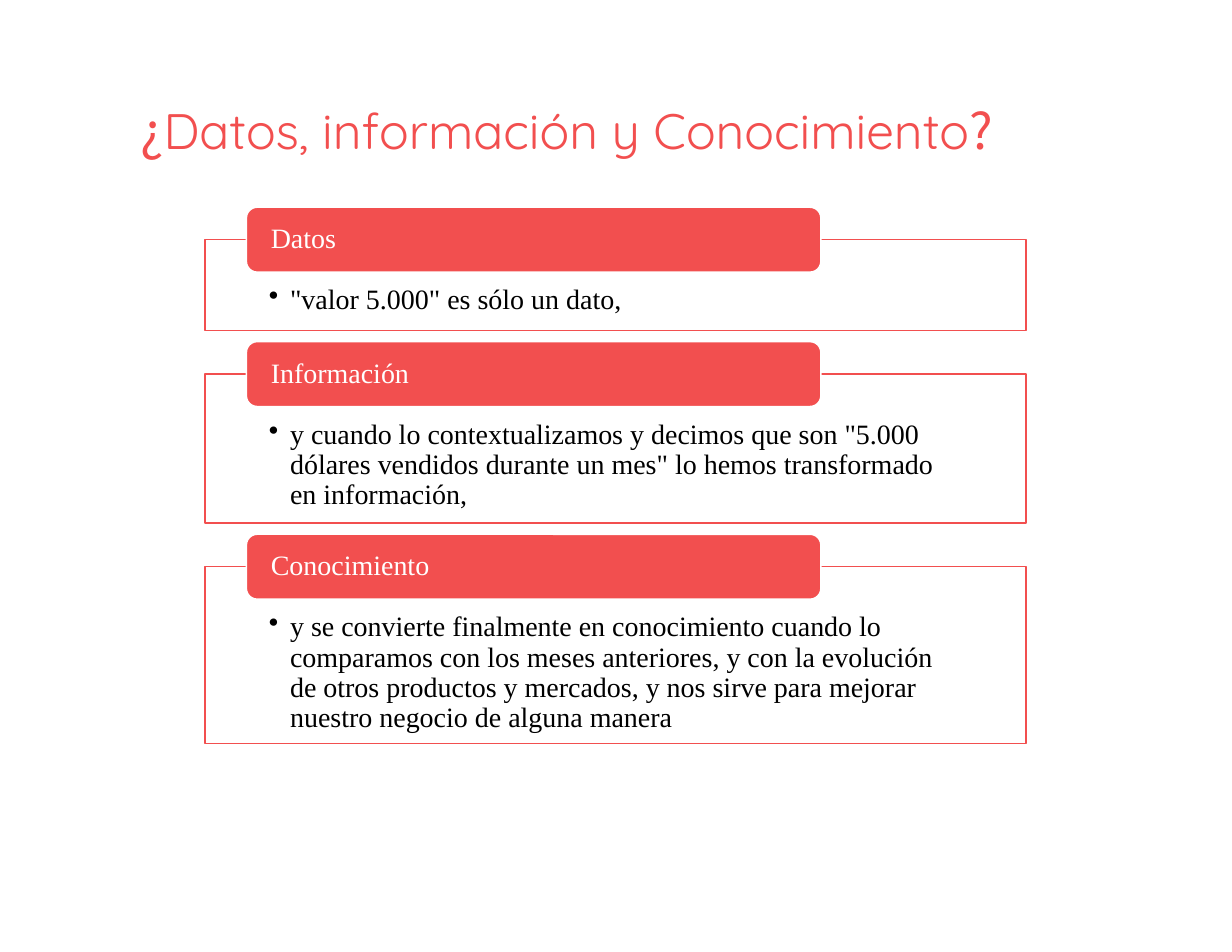
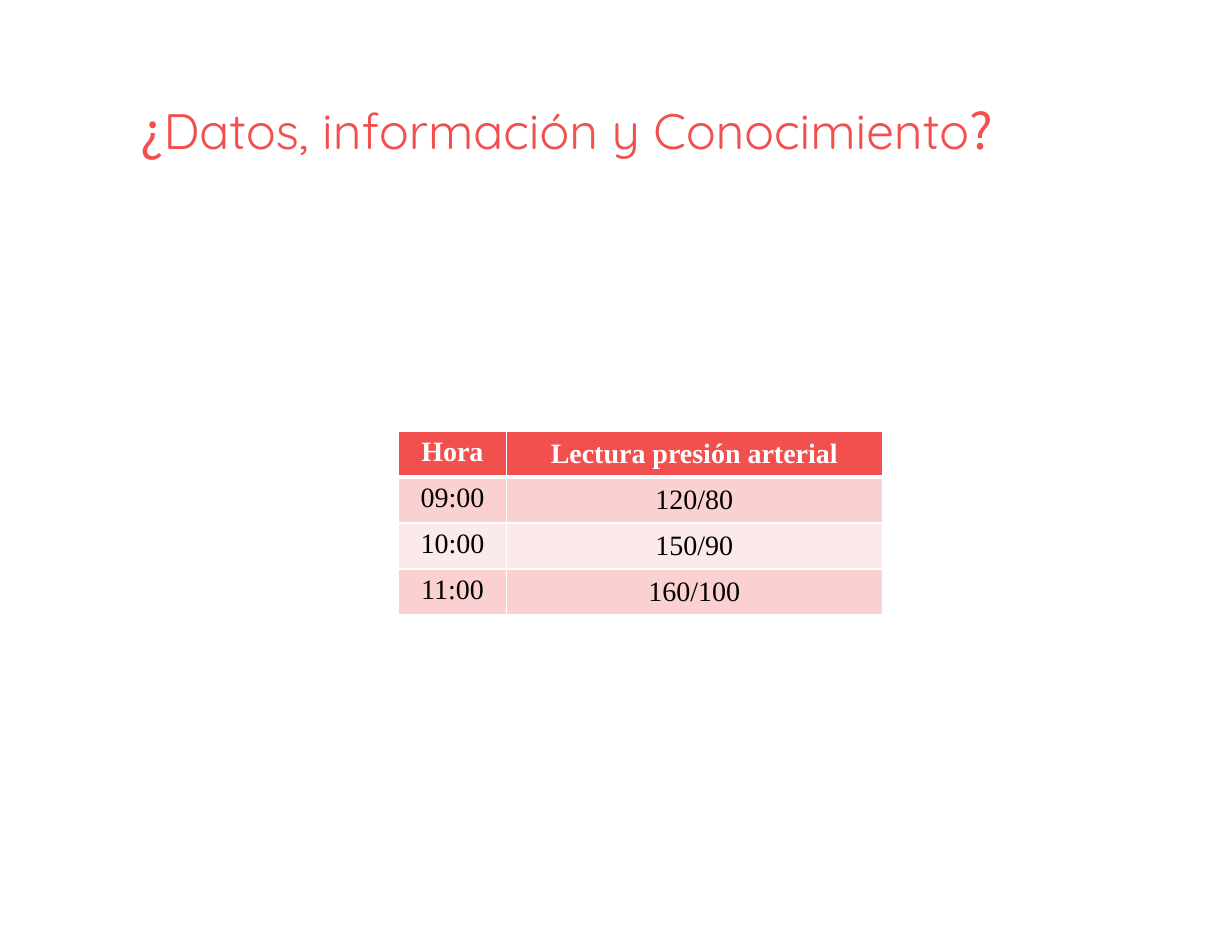
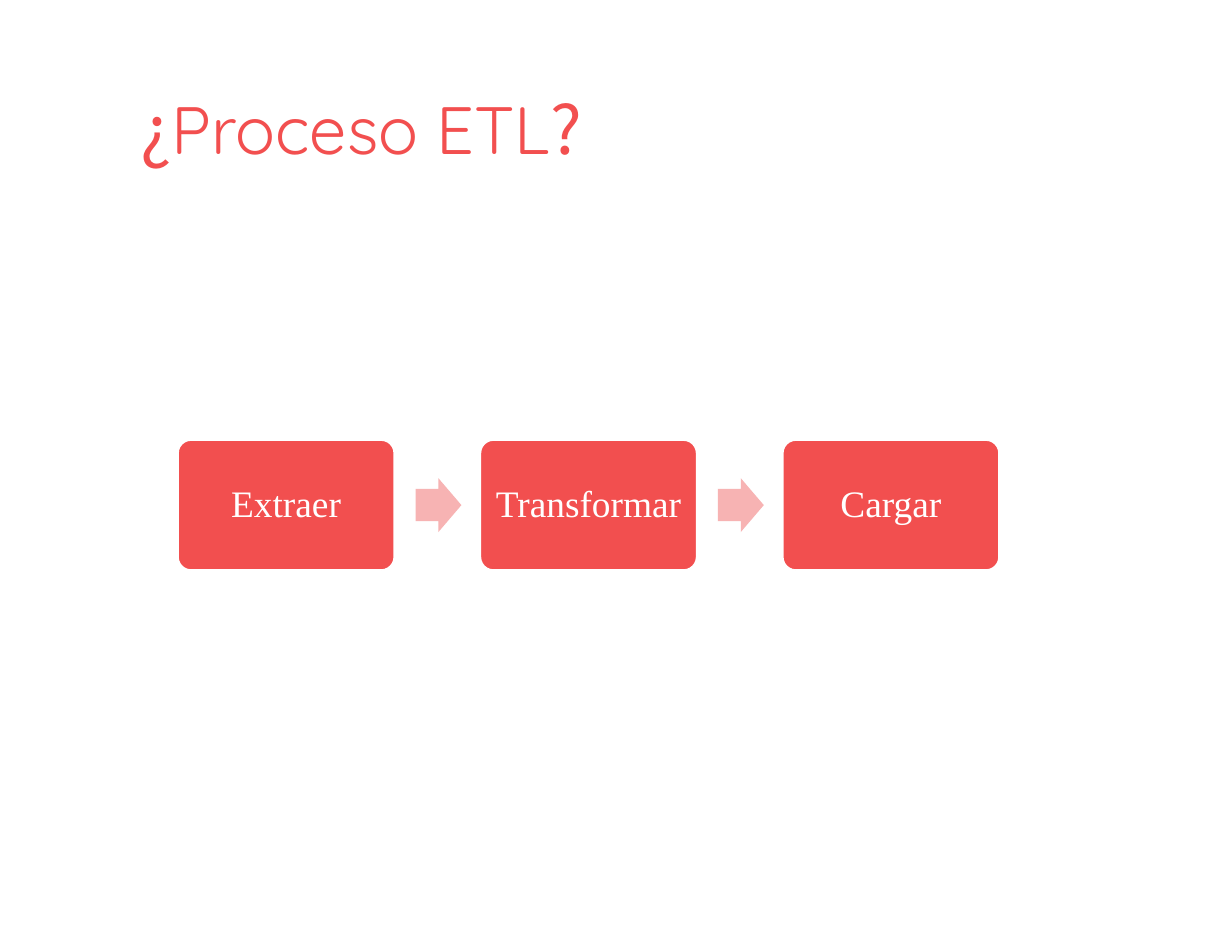
from pptx import Presentation
from pptx.dml.color import RGBColor
from pptx.enum.shapes import MSO_SHAPE
from pptx.enum.text import MSO_ANCHOR, MSO_AUTO_SIZE, PP_ALIGN
from pptx.oxml.ns import qn
from pptx.util import Inches, Pt
from lxml.etree import SubElement, Element

RED = RGBColor(0xF2, 0x4F, 0x4F)
PINK = RGBColor(0xF7, 0xB3, 0xB3)
ROSE = RGBColor(0xFA, 0xD0, 0xD0)
PALE = RGBColor(0xFC, 0xE9, 0xE9)
WHITE = RGBColor(0xFF, 0xFF, 0xFF)
BLACK = RGBColor(0, 0, 0)
SERIF = "Times New Roman"
SANS = "Quicksand"
MARK = "Noto Sans CJK SC"


class Deck:
    def __init__(self):
        self.prs = Presentation()
        self.prs.slide_width = Inches(11)
        self.prs.slide_height = Inches(8.5)
        self.slide = None

    def style(self, font, size, color, name=SERIF, bold=False):
        font.name = name
        font.size = Pt(size)
        font.bold = bold
        font.color.rgb = color

    def page(self, words, size):
        self.slide = self.prs.slides.add_slide(self.prs.slide_layouts[5])
        title = self.slide.shapes.title
        title.left, title.top = Inches(1.25), Inches(0.79)
        title.width, title.height = Inches(8.93), Inches(0.81)
        self.frame(title, (0, 0, 0, 0), MSO_ANCHOR.MIDDLE)
        para = title.text_frame.paragraphs[0]
        para.alignment = PP_ALIGN.LEFT
        para.line_spacing = 0.85
        for text, name in (("¿", MARK), (words, SANS), ("?", MARK)):
            run = para.add_run()
            run.text = text
            self.style(run.font, size, RED, name)

    def frame(self, shape, insets, anchor):
        frame = shape.text_frame
        frame.word_wrap = True
        frame.auto_size = MSO_AUTO_SIZE.NONE
        frame.vertical_anchor = anchor
        (frame.margin_left, frame.margin_top,
         frame.margin_right, frame.margin_bottom) = map(Inches, insets)

    def shape(self, kind, box, fill, line=None):
        shape = self.slide.shapes.add_shape(kind, *map(Inches, box))
        shape.shadow.inherit = False
        shape.fill.solid()
        shape.fill.fore_color.rgb = fill
        if line is None:
            shape.line.fill.background()
        else:
            shape.line.color.rgb = line
            shape.line.width = Pt(1)
        return shape

    def label(self, shape, text, size, color, insets,
              align=PP_ALIGN.LEFT, anchor=MSO_ANCHOR.MIDDLE, bullet=False):
        self.frame(shape, insets, anchor)
        shape.text_frame.text = text
        para = shape.text_frame.paragraphs[0]
        para.alignment = align
        para.line_spacing = 0.9
        if bullet:
            props = para._p.get_or_add_pPr()
            props.set("marL", str(Inches(0.19)))
            props.set("indent", str(-Inches(0.19)))
            SubElement(props, qn("a:buChar")).set("char", "•")
        self.style(para.runs[0].font, size, color)

    def panel(self, top, height, head, text):
        body = self.shape(MSO_SHAPE.RECTANGLE, (1.83, top, 7.33, height), WHITE, RED)
        tint = body._element.spPr.find(qn("a:solidFill"))[0]
        SubElement(tint, qn("a:alpha")).set("val", "90000")
        self.label(body, text, 18, BLACK, (0.57, 0.41, 0.57, 0.14),
                   anchor=MSO_ANCHOR.TOP, bullet=True)
        tab = self.shape(MSO_SHAPE.ROUNDED_RECTANGLE,
                         (2.2, top - 0.29, 5.13, 0.58), RED, WHITE)
        self.label(tab, head, 18, WHITE, (0.19, 0, 0.19, 0))

    def step(self, left, text):
        card = self.shape(MSO_SHAPE.ROUNDED_RECTANGLE,
                          (left, 3.93, 1.93, 1.16), RED, WHITE)
        card.adjustments[0] = 0.1
        self.label(card, text, 24, WHITE, (0.1, 0.1, 0.1, 0.1), PP_ALIGN.CENTER)

    def arrow(self, left):
        arrow = self.shape(MSO_SHAPE.RIGHT_ARROW, (left, 4.27, 0.41, 0.48), PINK)
        arrow.adjustments[0] = 0.6
        arrow.adjustments[1] = 0.5

    def edges(self, cell, row):
        props = cell._tc.get_or_add_tcPr()
        widths = {"L": 1, "R": 1, "T": 3 if row == 1 else 1, "B": 3 if row == 0 else 1}
        for spot, (side, width) in enumerate(widths.items()):
            line = Element(qn("a:ln" + side), w=str(Pt(width)))
            fill = SubElement(line, qn("a:solidFill"))
            SubElement(fill, qn("a:srgbClr")).set("val", str(WHITE))
            props.insert(spot, line)

    def table(self, left, top, widths, high, rows):
        table = self.slide.shapes.add_table(
            len(rows), len(widths), Inches(left), Inches(top),
            Inches(sum(widths)), Inches(high * len(rows))).table
        table.horz_banding = False
        for col, width in zip(table.columns, widths):
            col.width = Inches(width)
        for r, row in enumerate(rows):
            table.rows[r].height = Inches(high)
            for c, text in enumerate(row):
                cell = table.cell(r, c)
                cell.fill.solid()
                cell.fill.fore_color.rgb = RED if r == 0 else ROSE if r % 2 else PALE
                cell.vertical_anchor = MSO_ANCHOR.MIDDLE if c else MSO_ANCHOR.TOP
                self.edges(cell, r)
                cell.text_frame.text = text
                para = cell.text_frame.paragraphs[0]
                para.alignment = PP_ALIGN.CENTER
                self.style(para.runs[0].font, 18, BLACK if r else WHITE, bold=r == 0)


def main():
    deck = Deck()
    theme = "Datos, información y Conocimiento"

    deck.page(theme, 32)
    top = 2.14
    for height, head, text in (
        (0.81, "Datos", '"valor 5.000" es sólo un dato,'),
        (1.33, "Información",
         'y cuando lo contextualizamos y decimos que son "5.000 dólares vendidos '
         'durante un mes" lo hemos transformado en información,'),
        (1.58, "Conocimiento",
         "y se convierte finalmente en conocimiento cuando lo comparamos con los "
         "meses anteriores, y con la evolución de otros productos y mercados, y nos "
         "sirve para mejorar nuestro negocio de alguna manera"),
    ):
        deck.panel(top, height, head, text)
        top += height + 0.39

    deck.page(theme, 32)
    deck.table(3.56, 3.85, (0.96, 3.36), 0.41, (
        ("Hora", "Lectura presión arterial"),
        ("09:00", "120/80"),
        ("10:00", "150/90"),
        ("11:00", "160/100"),
    ))

    deck.page("Proceso ETL", 43)
    for i, text in enumerate(("Extraer", "Transformar", "Cargar")):
        left = 1.59 + 2.7 * i
        if i:
            deck.arrow(left - 0.58)
        deck.step(left, text)

    deck.prs.save("out.pptx")


if __name__ == "__main__":
    main()
